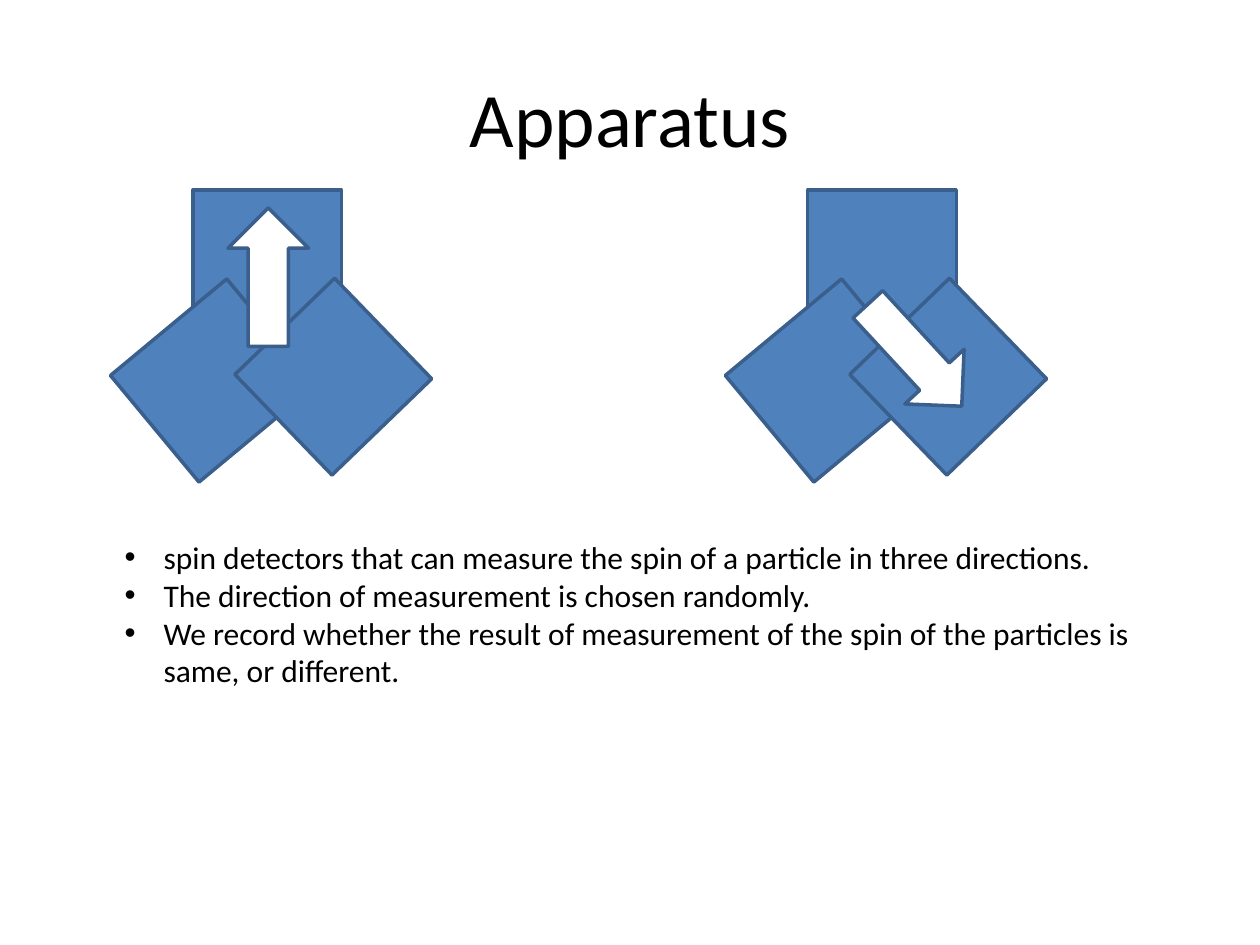
from dataclasses import dataclass

from lxml import etree
from pptx import Presentation
from pptx.dml.color import RGBColor
from pptx.enum.shapes import MSO_SHAPE
from pptx.enum.text import MSO_ANCHOR, MSO_AUTO_SIZE, PP_ALIGN
from pptx.oxml.ns import qn
from pptx.util import Inches, Pt


@dataclass(frozen=True)
class Theme:
    font: str = "Calibri"
    title_size: int = 44
    body_size: int = 18
    line_width: int = 2
    text: str = "000000"
    panel: str = "4F81BD"
    outline: str = "3A5F8C"
    arrow: str = "FFFFFF"


THEME = Theme()
PANELS = [
    (0.66, 0, 1.18, 1.1, 0),
    (0.22, 0.96, 1.2, 1.1, 320.3),
    (1.22, 0.93, 1.11, 1.1, 46),
]
ARROW_WIDTH, ARROW_HEIGHT = 0.64, 1.1
DETECTORS = [
    (0.87, 1.51, (0.94, 0.14, 0)),
    (5.75, 1.51, (1.19, 0.76, 137.3)),
]
BULLETS = [
    "spin detectors that can measure the spin of a particle in three directions.",
    "The direction of measurement is chosen randomly.",
    "We record whether the result of measurement of the spin of the particles is same, or different.",
]


def place(shape, left, top, width, height):
    shape.left, shape.top = Inches(left), Inches(top)
    shape.width, shape.height = Inches(width), Inches(height)


def style_font(font, size):
    font.name = THEME.font
    font.size = Pt(size)
    font.color.rgb = RGBColor.from_string(THEME.text)


def add_title(slide, text, box):
    title = slide.shapes.title
    place(title, *box)
    frame = title.text_frame
    frame.text = text
    frame.vertical_anchor = MSO_ANCHOR.MIDDLE
    paragraph = frame.paragraphs[0]
    paragraph.alignment = PP_ALIGN.CENTER
    style_font(paragraph.runs[0].font, THEME.title_size)


def add_part(group, kind, box, rotation, fill):
    part = group.shapes.add_shape(kind, *map(Inches, box))
    part.rotation = rotation
    part.shadow.inherit = False
    part.fill.solid()
    part.fill.fore_color.rgb = RGBColor.from_string(fill)
    part.line.color.rgb = RGBColor.from_string(THEME.outline)
    part.line.width = Pt(THEME.line_width)


def add_detector(slide, left, top, arrow):
    group = slide.shapes.add_group_shape()
    for dx, dy, width, height, rotation in PANELS:
        box = (left + dx, top + dy, width, height)
        add_part(group, MSO_SHAPE.RECTANGLE, box, rotation, THEME.panel)
    dx, dy, rotation = arrow
    box = (left + dx, top + dy, ARROW_WIDTH, ARROW_HEIGHT)
    add_part(group, MSO_SHAPE.UP_ARROW, box, rotation, THEME.arrow)


def add_bullets(slide, items, box, indent=0.31):
    frame = slide.shapes.add_textbox(*map(Inches, box)).text_frame
    frame.word_wrap = True
    frame.auto_size = MSO_AUTO_SIZE.SHAPE_TO_FIT_TEXT
    for index, item in enumerate(items):
        paragraph = frame.add_paragraph() if index else frame.paragraphs[0]
        run = paragraph.add_run()
        run.text = item
        style_font(run.font, THEME.body_size)
        properties = paragraph._p.get_or_add_pPr()
        properties.set("marL", str(Inches(indent)))
        properties.set("indent", str(-Inches(indent)))
        etree.SubElement(properties, qn("a:buFont"), typeface="Arial")
        etree.SubElement(properties, qn("a:buChar"), char="•")


def build_apparatus_slide(presentation):
    slide = presentation.slides.add_slide(presentation.slide_layouts[5])
    add_title(slide, "Apparatus", (0.5, 0.3, 9, 1.25))
    for left, top, arrow in DETECTORS:
        add_detector(slide, left, top, arrow)
    add_bullets(slide, BULLETS, (0.89, 4.22, 8.2, 1.31))


presentation = Presentation()
presentation.slide_width = Inches(10)
presentation.slide_height = Inches(7.5)
build_apparatus_slide(presentation)
presentation.save("out.pptx")
